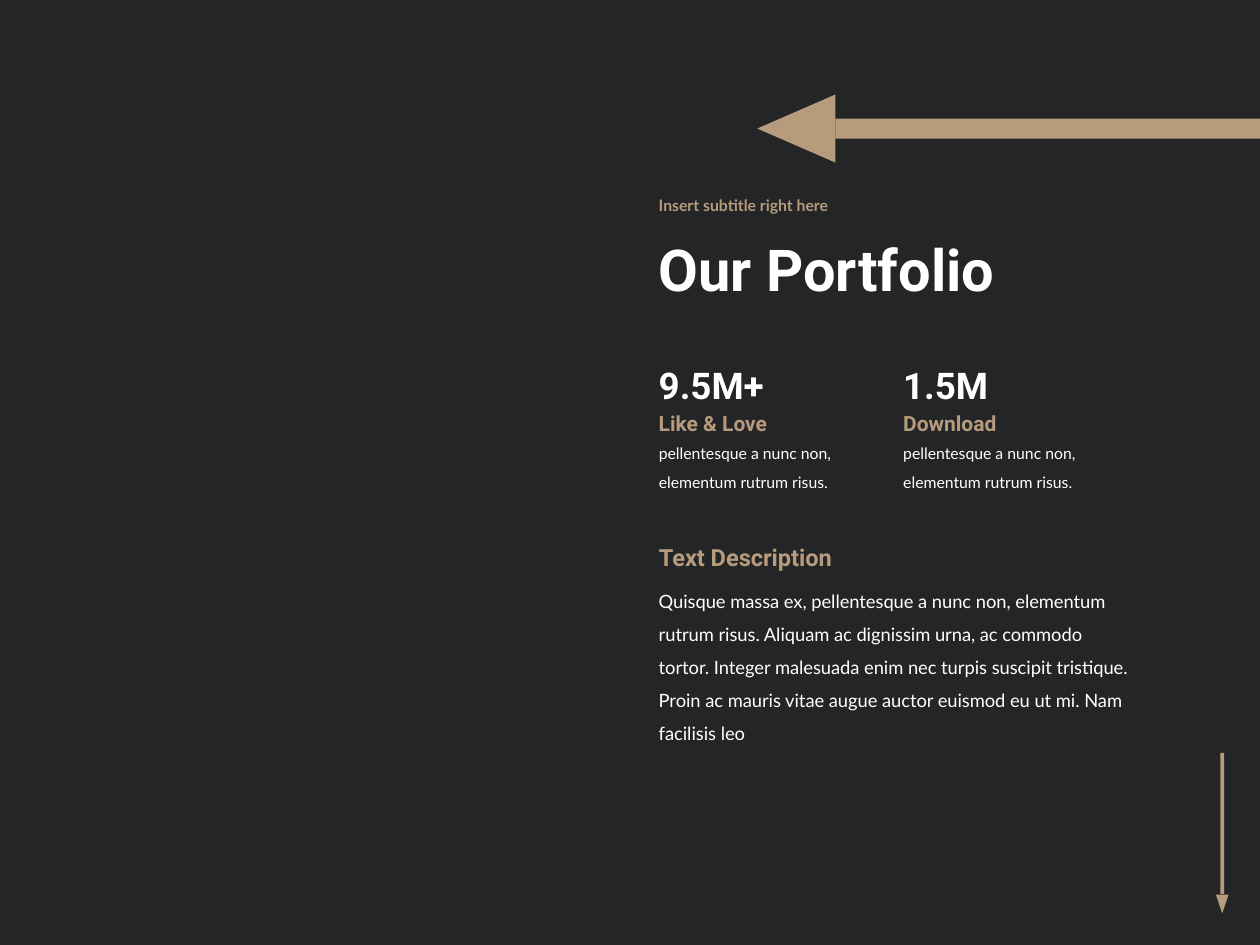
from dataclasses import dataclass

from pptx import Presentation
from pptx.dml.color import RGBColor
from pptx.enum import shapes, text
from pptx.util import Inches, Pt

COLUMNS, ROWS = 100, 75
SLIDE_WIDTH, SLIDE_HEIGHT = Inches(10), Inches(7.5)
DARK, GOLD, WHITE = "242527", "B69B7D", "FFFFFF"
HEADING, BODY = "Roboto", "Lato"
TEXT_LEFT, STAT_STEP = 51.3, 19.4


@dataclass(frozen=True)
class Area:
    column: float
    row: float
    columns: float
    rows: float

    def lengths(self) -> tuple[int, int, int, int]:
        return (
            round(SLIDE_WIDTH * self.column / COLUMNS),
            round(SLIDE_HEIGHT * self.row / ROWS),
            round(SLIDE_WIDTH * self.columns / COLUMNS),
            round(SLIDE_HEIGHT * self.rows / ROWS),
        )


@dataclass(frozen=True)
class Style:
    font: str
    size: float
    color: str
    bold: bool = True
    spacing: float = 1.0
    middle: bool = False


@dataclass(frozen=True)
class Stat:
    value: str
    label: str
    detail: str


@dataclass(frozen=True)
class Part:
    kind: shapes.MSO_SHAPE
    area: Area
    rotation: int


TITLE = Style(HEADING, 33, WHITE, spacing=0.9, middle=True)
SUBTITLE = Style(BODY, 9, GOLD, spacing=0.9, middle=True)
VALUE = Style(HEADING, 21, WHITE)
LABEL = Style(HEADING, 12, GOLD)
DETAIL = Style(BODY, 9, WHITE, bold=False, spacing=1.5)
SECTION = Style(HEADING, 13.5, GOLD)
DESCRIPTION = Style(BODY, 10.5, WHITE, bold=False, spacing=1.5)

STAT_DETAIL = "pellentesque a nunc non, elementum rutrum risus."
STATS = (
    Stat("9.5M+", "Like & Love", STAT_DETAIL),
    Stat("1.5M", "Download", STAT_DETAIL),
)
BLOCKS = (
    ("Our Portfolio", Area(TEXT_LEFT, 16.5, 56.3, 10.3), TITLE),
    ("Insert subtitle right here", Area(TEXT_LEFT, 14.5, 56.3, 3.8), SUBTITLE),
    ("Text Description", Area(TEXT_LEFT, 42.6, 21.9, 3.3), SECTION),
    (
        "Quisque massa ex, pellentesque a nunc non, elementum rutrum risus. "
        "Aliquam ac dignissim urna, ac commodo tortor. Integer malesuada enim "
        "nec turpis suscipit tristique. Proin ac mauris vitae augue auctor "
        "euismod eu ut mi. Nam facilisis leo",
        Area(TEXT_LEFT, 45.5, 40, 11.3),
        DESCRIPTION,
    ),
)
ARROW_PARTS = (
    Part(shapes.MSO_SHAPE.RECTANGLE, Area(91.4, 65.2, 11.2, 0.3), 90),
    Part(shapes.MSO_SHAPE.ISOSCELES_TRIANGLE, Area(96.5, 71, 1, 1.5), 180),
    Part(shapes.MSO_SHAPE.RECTANGLE, Area(66.3, 9.4, 39.1, 1.6), 180),
    Part(shapes.MSO_SHAPE.ISOSCELES_TRIANGLE, Area(60.5, 7.1, 5.4, 6.2), 270),
)


def paint(color_format, color: str) -> None:
    color_format.rgb = RGBColor.from_string(color)


def add_text(page, wording: str, area: Area, style: Style) -> None:
    box = page.shapes.add_textbox(*area.lengths())
    frame = box.text_frame
    frame.word_wrap = True
    frame.vertical_anchor = (
        text.MSO_ANCHOR.MIDDLE if style.middle else text.MSO_ANCHOR.TOP
    )
    para = frame.paragraphs[0]
    para.line_spacing = style.spacing
    span = para.add_run()
    span.text = wording
    span.font.name = style.font
    span.font.size = Pt(style.size)
    span.font.bold = style.bold
    paint(span.font.color, style.color)


def add_stat(page, stat: Stat, left: float) -> None:
    add_text(page, stat.detail, Area(left, 34, 18.9, 5.3), DETAIL)
    add_text(page, stat.label, Area(left, 32.1, 15, 3), LABEL)
    add_text(page, stat.value, Area(left, 28.3, 15, 4.5), VALUE)


def add_part(page, part: Part) -> None:
    shape = page.shapes.add_shape(part.kind, *part.area.lengths())
    shape.rotation = part.rotation
    shape.shadow.inherit = False
    shape.fill.solid()
    paint(shape.fill.fore_color, GOLD)
    shape.line.fill.background()


def main() -> None:
    deck = Presentation()
    deck.slide_width, deck.slide_height = SLIDE_WIDTH, SLIDE_HEIGHT
    page = deck.slides.add_slide(deck.slide_layouts[6])
    page.background.fill.solid()
    paint(page.background.fill.fore_color, DARK)
    for part in ARROW_PARTS:
        add_part(page, part)
    for wording, area, style in BLOCKS:
        add_text(page, wording, area, style)
    for index, stat in enumerate(STATS):
        add_stat(page, stat, TEXT_LEFT + index * STAT_STEP)
    deck.save("out.pptx")


if __name__ == "__main__":
    main()
